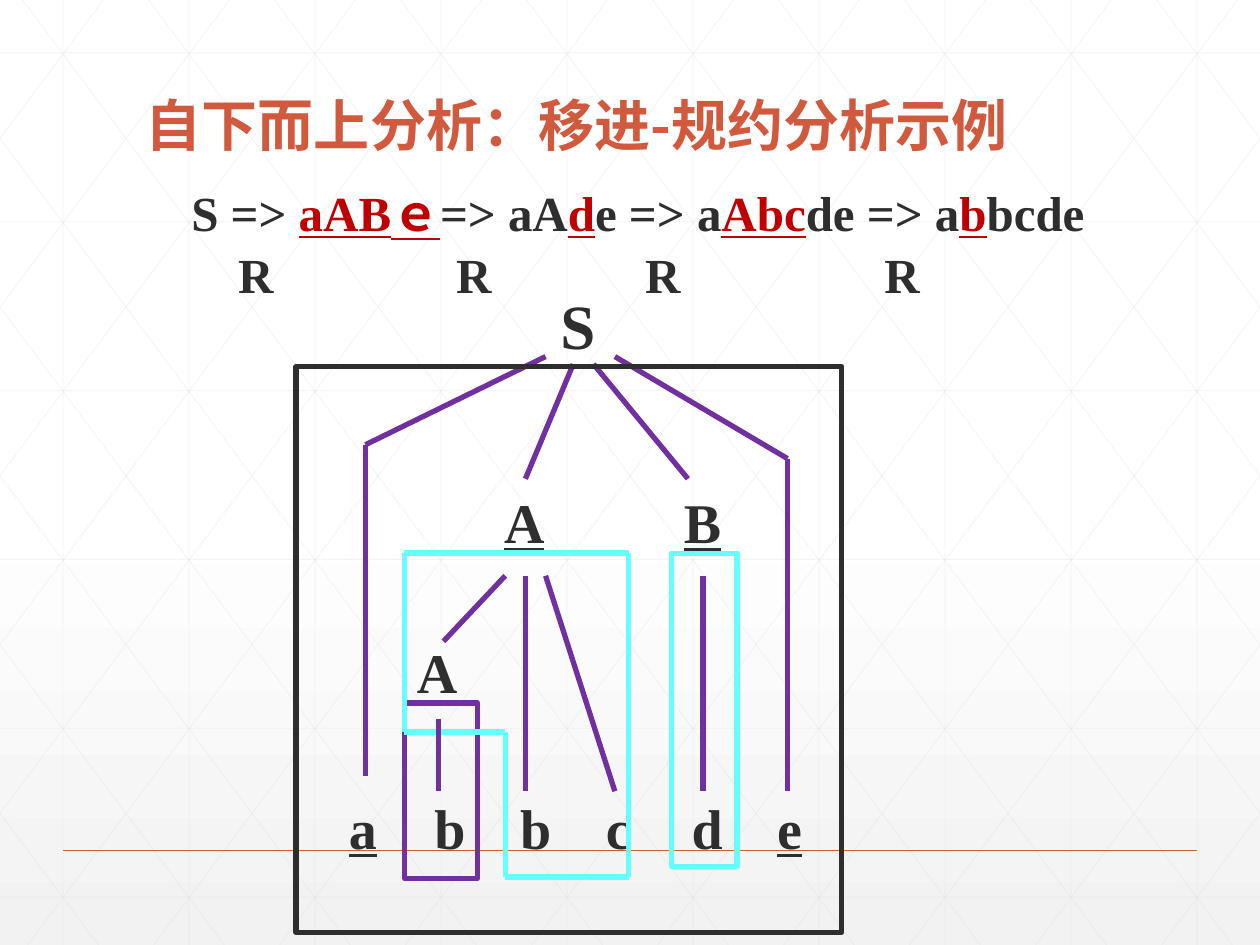
import itertools

import lxml.etree
import pptx
import pptx.dml.color
import pptx.enum.shapes
import pptx.enum.text
import pptx.oxml.ns
import pptx.util

COLUMNS, ROWS = 10, 7.5
CELL = pptx.util.Inches(1)
INK, RED, ORANGE = "2D2E2D", "C00000", "D15A3E"
PURPLE, CYAN, PALE = "7030A0", "66FFFF", "D9D9D9"
LATIN, CHINESE = "Times New Roman", "Noto Sans CJK SC"
LABEL_INSETS = (0.1, 0.09, 0.1, 0.01)
REDUCE_INSETS = (0.06, 0.01, 0.06, 0.01)

PLAIN = {"color": INK, "underline": False}
MARKED = {"color": INK, "underline": True}
HANDLE = {"color": RED, "underline": True}

DERIVATION = [
    ("S => ", PLAIN), ("aABｅ", HANDLE), ("=> aA", PLAIN), ("d", HANDLE),
    ("e => a", PLAIN), ("Abc", HANDLE), ("de => a", PLAIN), ("b", HANDLE),
    ("bcde", PLAIN),
]
LEAVES = [("a", MARKED), ("\tb\tb\tc\td\t", PLAIN), ("e", MARKED)]
LEAF_PITCH = 0.68

BRANCHES = [
    [(4.33, 2.83), (2.9, 3.53), (2.9, 6.16)],
    [(4.55, 2.89), (4.17, 3.8)],
    [(4.71, 2.89), (5.46, 3.8)],
    [(4.88, 2.83), (6.25, 3.64), (6.25, 6.28)],
    [(4.01, 4.57), (3.52, 5.09)],
    [(4.17, 4.57), (4.17, 6.28)],
    [(4.33, 4.57), (4.88, 6.28)],
    [(5.58, 4.57), (5.58, 6.28)],
]
INNER_BRANCH = [(3.48, 5.71), (3.48, 6.28)]
PHRASE_ABC = [(3.21, 4.39), (4.99, 4.39), (4.99, 6.96), (4.01, 6.96),
              (4.01, 5.81), (3.21, 5.81), (3.21, 4.39)]


def grid(*cells):
    """Turn grid distances into slide lengths."""
    return [round(cell * CELL) for cell in cells]


def color(code):
    return pptx.dml.color.RGBColor.from_string(code)


def add_element(parent, tag, **attributes):
    return lxml.etree.SubElement(parent, pptx.oxml.ns.qn(tag), attributes)


def add_path(shapes, points, code, weight=3, opacity=None):
    """Join the points with straight connectors."""
    for start, end in itertools.pairwise(points):
        segment = shapes.add_connector(
            pptx.enum.shapes.MSO_CONNECTOR.STRAIGHT, *grid(*start, *end))
        segment.line.color.rgb = color(code)
        segment.line.width = pptx.util.Pt(weight)
        if opacity:
            fill = segment.line.fill._xPr.find(
                ".//" + pptx.oxml.ns.qn("a:srgbClr"))
            add_element(fill, "a:alpha", val=str(opacity * 1000))
        add_element(segment._element.spPr, "a:effectLst")


def add_frame(shapes, box, code):
    frame = shapes.add_shape(
        pptx.enum.shapes.MSO_SHAPE.RECTANGLE, *grid(*box))
    frame.shadow.inherit = False
    frame.fill.background()
    frame.line.color.rgb = color(code)
    frame.line.width = pptx.util.Pt(3)


def add_label(shapes, box, pieces, size, insets=LABEL_INSETS, anchor="TOP",
              align="LEFT", spacing=0.8, typeface=LATIN):
    """Write one line made of (wording, format) pieces."""
    label = shapes.add_textbox(*grid(*box)).text_frame
    left, top, right, bottom = grid(*insets)
    frame_format = {
        "word_wrap": True,
        "auto_size": pptx.enum.text.MSO_AUTO_SIZE.NONE,
        "vertical_anchor": pptx.enum.text.MSO_ANCHOR[anchor],
        "margin_left": left, "margin_top": top,
        "margin_right": right, "margin_bottom": bottom,
    }
    for key, value in frame_format.items():
        setattr(label, key, value)
    line = label.paragraphs[0]
    line.alignment = pptx.enum.text.PP_ALIGN[align]
    line.line_spacing = spacing
    for wording, style in pieces:
        run = line.add_run()
        run.text = wording
        run.font.color.rgb = color(style["color"])
        run_format = {"name": typeface, "size": pptx.util.Pt(size),
                      "bold": True, "underline": style["underline"]}
        for key, value in run_format.items():
            setattr(run.font, key, value)
        add_element(run.font._element, "a:ea", typeface=CHINESE)
    return line


def add_tab_stops(line, pitch, count):
    stops = add_element(line._p.get_or_add_pPr(), "a:tabLst")
    for number in range(1, count + 1):
        position, = grid(number * pitch)
        add_element(stops, "a:tab", pos=str(position), algn="l")


def paint_background(slide):
    fill = slide.background.fill
    fill.gradient()
    fill.gradient_angle = 270
    for stop, (position, code) in zip(
            fill.gradient_stops, [(0.53, "FFFFFF"), (1, "F2F2F2")]):
        stop.position = position
        stop.color.rgb = color(code)


def add_lattice(slide):
    """Draw the pale triangular lattice, clipped to the slide."""
    lattice = slide.shapes.add_group_shape().shapes
    uprights = [[(0.5 + n, 0), (0.5 + n, ROWS)] for n in range(COLUMNS)]
    levels = [[(0, 0.42 + 1.34 * n), (COLUMNS, 0.42 + 1.34 * n)]
              for n in range(6)]
    slope = ROWS / 5.6
    falling = []
    for n in range(-5, COLUMNS):
        origin = 0.18 + n
        left, right = max(origin, 0), min(origin + 5.6, COLUMNS)
        falling.append([(left, (left - origin) * slope),
                        (right, (right - origin) * slope)])
    rising = [[(COLUMNS - x, y) for x, y in diagonal] for diagonal in falling]
    for points in uprights + levels + falling + rising:
        add_path(lattice, points, PALE, weight=0.5, opacity=25)


def add_derivation(shapes):
    add_label(shapes, (1.42, 1.45, 7.67, 0.48), DERIVATION, 28,
              align="JUSTIFY")
    for left in (1.83, 3.56, 5.06, 6.96):
        add_label(shapes, (left, 2.02, 0.62, 0.4), [("R", PLAIN)], 28,
                  REDUCE_INSETS, "MIDDLE")


def add_parse_tree(shapes):
    add_label(shapes, (4.35, 2.3, 0.54, 0.58), [("S", PLAIN)], 36)
    add_label(shapes, (3.79, 3.88, 0.79, 0.53),
              [(" ", PLAIN), ("A", MARKED)], 32)
    add_label(shapes, (5.33, 3.88, 0.52, 0.53), [("B", MARKED)], 32)
    add_label(shapes, (3.21, 5.07, 0.58, 0.53), [("A", PLAIN)], 32)
    leaves = add_label(shapes, (2.67, 6.31, 4.04, 1.19), LEAVES, 32)
    add_tab_stops(leaves, LEAF_PITCH, 5)

    for branch in BRANCHES:
        add_path(shapes, branch, PURPLE)
    add_frame(shapes, (3.21, 5.58, 0.58, 1.39), PURPLE)
    add_frame(shapes, (5.33, 4.39, 0.52, 2.49), CYAN)
    add_path(shapes.add_group_shape().shapes, PHRASE_ABC, CYAN)
    add_path(shapes, INNER_BRANCH, PURPLE)
    add_frame(shapes, (2.35, 2.91, 4.33, 4.49), INK)


def main():
    deck = pptx.Presentation()
    deck.slide_width, deck.slide_height = grid(COLUMNS, ROWS)
    slide = deck.slides.add_slide(deck.slide_layouts[6])
    paint_background(slide)
    add_lattice(slide)
    add_path(slide.shapes, [(0.5, 6.75), (9.5, 6.75)], ORANGE, weight=1)
    add_label(slide.shapes, (1.06, 0.55, 7.88, 0.76),
              [("自下而上分析：移进-规约分析示例",
                {"color": ORANGE, "underline": False})],
              32, (0.1, 0.05, 0.1, 0.05), "BOTTOM", spacing=0.9,
              typeface=CHINESE)
    add_derivation(slide.shapes)
    add_parse_tree(slide.shapes)
    deck.save("out.pptx")


if __name__ == "__main__":
    main()
